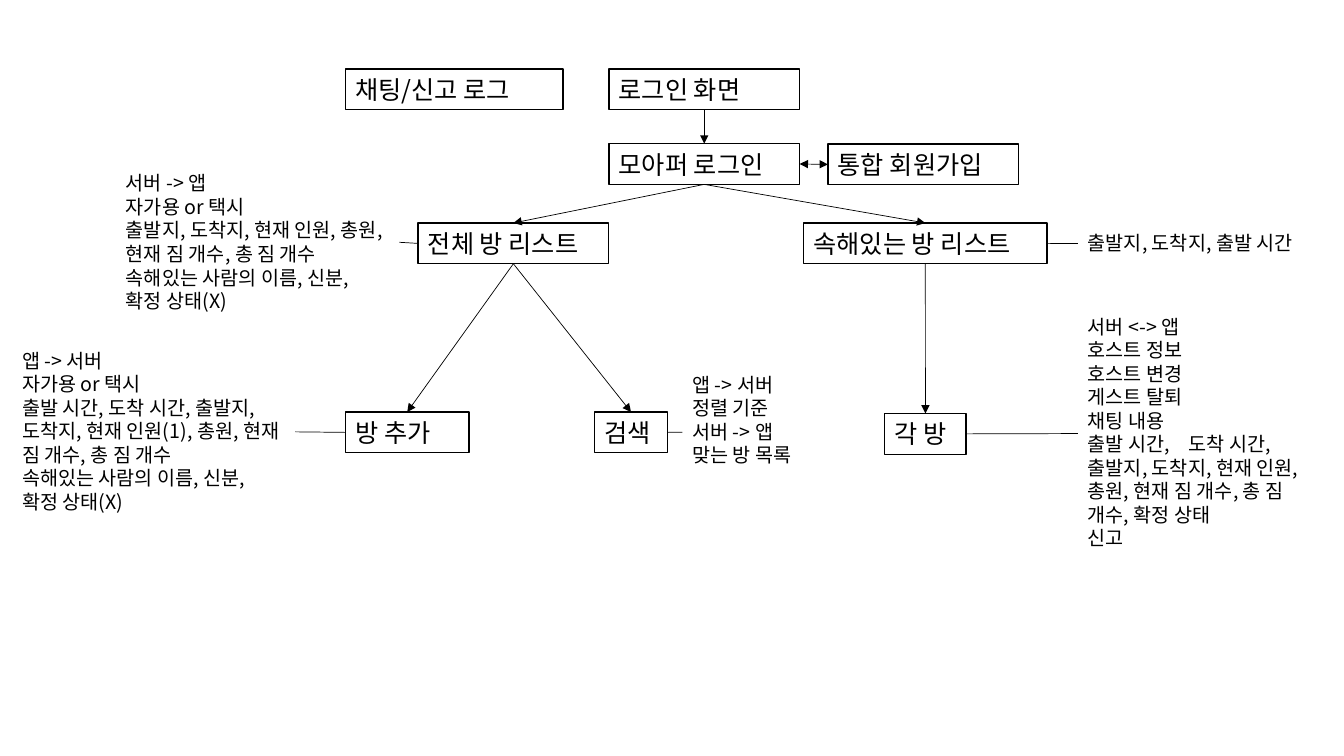
import pptx
import pptx.util
import pptx.dml.color
import pptx.enum.shapes
import pptx.enum.text
import pptx.oxml
import pptx.oxml.ns

BLACK = pptx.dml.color.RGBColor(0, 0, 0)
WHITE = pptx.dml.color.RGBColor(255, 255, 255)
FONT = "Noto Sans CJK KR"
WIDTH, HEIGHT = pptx.util.Inches(13.33), pptx.util.Inches(7.5)
COL, ROW = WIDTH / 100, HEIGHT / 100
NODE_ROWS = 5.39
TOP, LEFT, BOTTOM, RIGHT = range(4)


def place(box, col, row, cols, rows):
    """Turn grid cells counted from a region's corner into slide lengths."""
    return (round((box[0] + col) * COL), round((box[1] + row) * ROW),
            round(cols * COL), round(rows * ROW))


def write(sp, text, size):
    """Fill a shape with left-aligned black text."""
    tf = sp.text_frame
    tf.word_wrap = True
    tf.auto_size = pptx.enum.text.MSO_AUTO_SIZE.SHAPE_TO_FIT_TEXT
    tf.text = text
    for p in tf.paragraphs:
        p.alignment = pptx.enum.text.PP_ALIGN.LEFT
        for r in p.runs:
            r.font.size = pptx.util.Pt(size)
            r.font.color.rgb = BLACK
            r.font.name = FONT
            ea = pptx.oxml.parse_xml(
                f'<a:ea {pptx.oxml.ns.nsdecls("a")} typeface="{FONT}"/>')
            r.font._element.append(ea)
    return sp


def node(s, box, text, col, row, cols):
    """Draw one outlined screen box."""
    sp = s.shapes.add_shape(pptx.enum.shapes.MSO_SHAPE.RECTANGLE,
                            *place(box, col, row, cols, NODE_ROWS))
    sp.shadow.inherit = False
    sp.fill.solid()
    sp.fill.fore_color.rgb = WHITE
    sp.line.color.rgb = BLACK
    sp.line.width = pptx.util.Pt(1)
    return write(sp, text, 18)


def note(s, box, lines, col, row, cols, rows):
    """Write the data notes that belong to a screen."""
    sp = s.shapes.add_textbox(*place(box, col, row, cols, rows))
    return write(sp, "\n".join(lines), 14)


def link(s, start, start_site, end, end_site, arrows=()):
    """Join two shapes by a thin line with the arrowheads asked for."""
    c = s.shapes.add_connector(pptx.enum.shapes.MSO_CONNECTOR.STRAIGHT, 0, 0, 0, 0)
    c.begin_connect(start, start_site)
    c.end_connect(end, end_site)
    c.line.color.rgb = BLACK
    c.line.width = pptx.util.Pt(0.5)
    ns = pptx.oxml.ns.nsdecls("a")
    for arrow in arrows:
        c.line._get_or_add_ln().append(
            pptx.oxml.parse_xml(f'<a:{arrow} {ns} type="triangle"/>'))
    c._element.spPr.append(pptx.oxml.parse_xml(f"<a:effectLst {ns}/>"))


def login_region(s, box):
    """Draw the login screens and return the one that leads to the lists."""
    node(s, box, "채팅/신고 로그", 0, 0, 16.2)
    screen = node(s, box, "로그인 화면", 19.6, 0, 14.2)
    login = node(s, box, "모아퍼 로그인", 19.6, 9.9, 14.2)
    signup = node(s, box, "통합 회원가입", 35.9, 9.95, 14.2)
    link(s, screen, BOTTOM, login, TOP, ["tailEnd"])
    link(s, login, RIGHT, signup, LEFT, ["headEnd", "tailEnd"])
    return login


def all_rooms_region(s, box):
    """Draw the list of all rooms with its add and search screens."""
    rooms = node(s, box, "전체 방 리스트", 30.2, 7.5, 14.2)
    add = node(s, box, "방 추가", 24.8, 32.5, 9.2)
    search = node(s, box, "검색", 43.35, 32.5, 5.4)
    members = "속해있는 사람의 이름, 신분, 확정 상태(X)"
    rooms_note = note(s, box, [
        "서버 -> 앱", "자가용 or 택시",
        "출발지, 도착지, 현재 인원, 총원, 현재 짐 개수, 총 짐 개수",
        members], 7.73, 0, 21.08, 20.1)
    add_note = note(s, box, [
        "앱 -> 서버", "자가용 or 택시",
        "출발 시간, 도착 시간, 출발지, 도착지, 현재 인원(1), 총원, "
        "현재 짐 개수, 총 짐 개수", members], 0, 23.45, 21.08, 23.35)
    search_note = note(s, box, [
        "앱 -> 서버", "정렬 기준", "서버 -> 앱", "맞는 방 목록"],
        49.88, 26.65, 9.75, 17.05)
    for target in (add, search):
        link(s, rooms, BOTTOM, target, TOP, ["tailEnd"])
    link(s, rooms, LEFT, rooms_note, RIGHT)
    link(s, add, LEFT, add_note, RIGHT)
    link(s, search, RIGHT, search_note, LEFT)
    return rooms


def joined_rooms_region(s, box):
    """Draw the list of joined rooms and the single room below it."""
    rooms = node(s, box, "속해있는 방 리스트", 0, 0, 18.1)
    room = node(s, box, "각 방", 6.03, 25.2, 6.05)
    rooms_note = note(s, box, ["출발지, 도착지, 출발 시간"], 20.4, 0.45, 18.85, 4.5)
    room_note = note(s, box, [
        "서버 <-> 앱", "호스트 정보", "호스트 변경", "게스트 탈퇴", "채팅 내용",
        "출발 시간, \t도착 시간, 출발지, 도착지, 현재 인원, 총원, "
        "현재 짐 개수, 총 짐 개수, 확정 상태", "신고"], 20.4, 11.45, 18.85, 32.8)
    link(s, rooms, BOTTOM, room, TOP, ["tailEnd"])
    link(s, rooms, RIGHT, rooms_note, LEFT)
    link(s, room, RIGHT, room_note, LEFT)
    return rooms


def flow_slide(prs):
    """Build the screen flow from its three regions."""
    s = prs.slides.add_slide(prs.slide_layouts[6])
    login = login_region(s, (25.7, 9.1))
    for rooms in (all_rooms_region(s, (0.9, 22)),
                  joined_rooms_region(s, (59.8, 29.5))):
        link(s, login, BOTTOM, rooms, TOP, ["tailEnd"])


prs = pptx.Presentation()
prs.slide_width, prs.slide_height = WIDTH, HEIGHT
flow_slide(prs)
prs.save("out.pptx")
